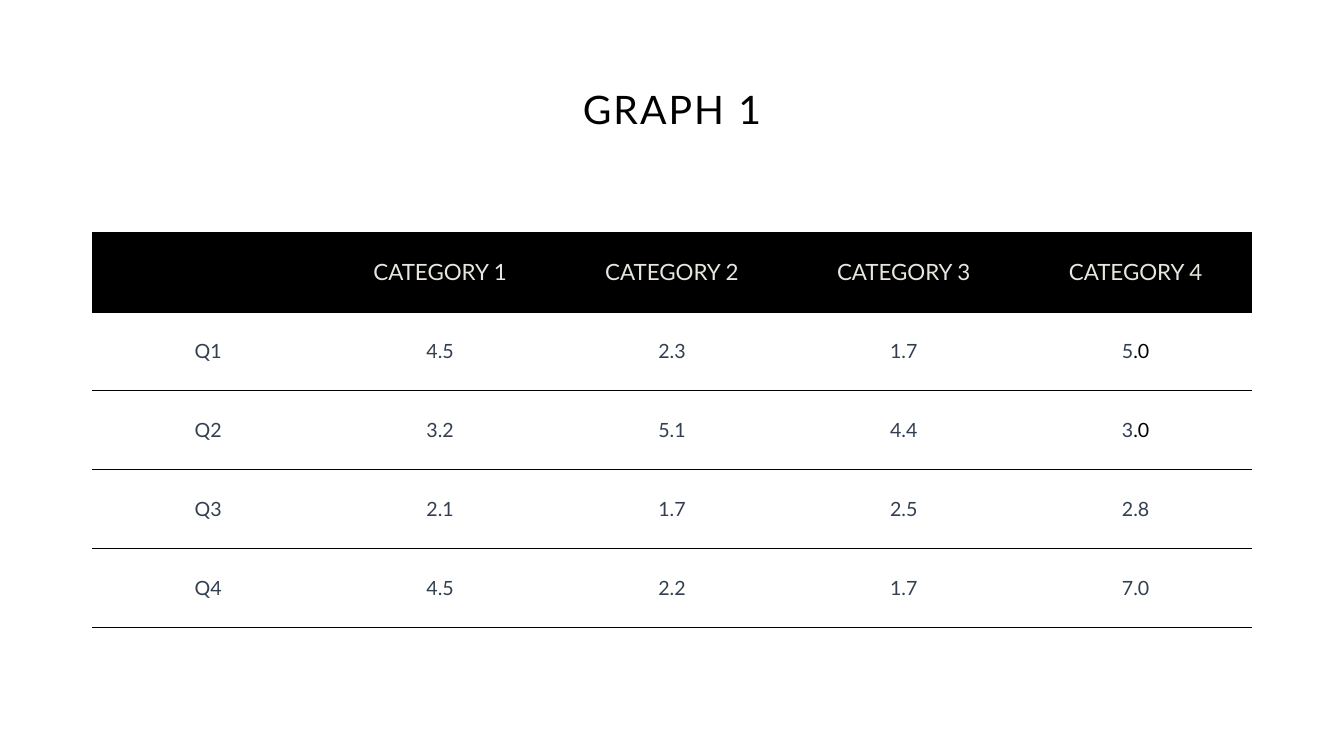
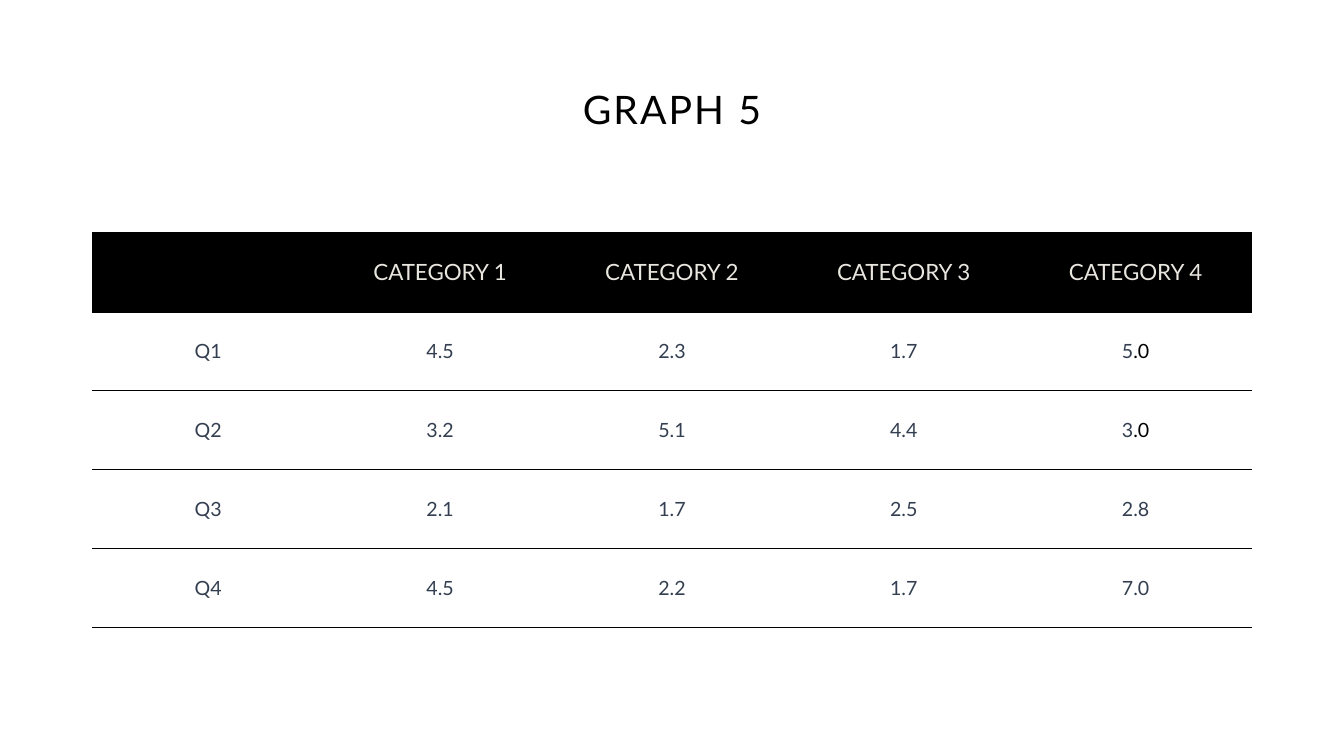
from lxml import etree
from pptx import Presentation
from pptx.dml.color import RGBColor
from pptx.enum.text import MSO_ANCHOR, MSO_AUTO_SIZE, PP_ALIGN
from pptx.oxml.ns import qn
from pptx.util import Pt

PX = 7620
MIDDLE = MSO_ANCHOR.MIDDLE
NO_AUTOFIT = MSO_AUTO_SIZE.NONE
CENTER = PP_ALIGN.CENTER

BLACK = RGBColor(0x00, 0x00, 0x00)
CREAM = RGBColor(0xE9, 0xE6, 0xDF)
SLATE = RGBColor(0x33, 0x3F, 0x50)

FONT = "Lato"
PLAIN_STYLE = "{2D5ABB26-0587-4C30-8999-92F81FD0307C}"
TITLE_ONLY = 5

LEFT, WIDTH = 110, 1380
TITLE_TOP, TITLE_HEIGHT = 46, 174
TABLE_TOP, ROW_HEIGHT = 277, 94
THIN_RULE, HEADER_RULE = Pt(0.5), Pt(1.5)

TITLES = ["GRAPH 1", "GRAPH 5"]
HEADINGS = ["", "CATEGORY 1", "CATEGORY 2", "CATEGORY 3", "CATEGORY 4"]
QUARTERS = [
    ["Q1", "4.5", "2.3", "1.7", ("5", ".0")],
    ["Q2", "3.2", "5.1", "4.4", ("3", ".0")],
    ["Q3", "2.1", "1.7", "2.5", "2.8"],
    ["Q4", "4.5", "2.2", "1.7", "7.0"],
]


class Deck:
    """Holds the presentation, its style and the current slide."""

    def __init__(self):
        self.presentation = Presentation()
        self.presentation.slide_width = 1600 * PX
        self.presentation.slide_height = 900 * PX
        self.slide = None

    def new_slide(self):
        """Start a slide that has only a title."""
        layout = self.presentation.slide_layouts[TITLE_ONLY]
        self.slide = self.presentation.slides.add_slide(layout)

    def add_run(self, paragraph, text, size, color):
        """Append one styled run and return it."""
        run = paragraph.add_run()
        run.text = text
        run.font.name = FONT
        run.font.size = Pt(size)
        run.font.color.rgb = color
        return run

    def title(self, text):
        """Place the centred, letter-spaced title."""
        heading = self.slide.shapes.title
        heading.left, heading.top = LEFT * PX, TITLE_TOP * PX
        heading.width, heading.height = WIDTH * PX, TITLE_HEIGHT * PX
        frame = heading.text_frame
        frame.word_wrap = True
        frame.auto_size = NO_AUTOFIT
        frame.vertical_anchor = MIDDLE
        paragraph = frame.paragraphs[0]
        paragraph.alignment = CENTER
        paragraph.line_spacing = 0.9
        run = self.add_run(paragraph, text, 28, BLACK)
        run.font._element.set("spc", "150")

    def rule(self, cell, side, weight):
        """Draw a black border on one side of a cell."""
        properties = cell._tc.get_or_add_tcPr()
        line = etree.SubElement(properties, qn(f"a:ln{side}"), w=str(int(weight)))
        fill = etree.SubElement(line, qn("a:solidFill"))
        etree.SubElement(fill, qn("a:srgbClr"), val=str(BLACK))

    def cell(self, cell, content, is_header):
        """Fill one cell; a second part of its content is set in black."""
        if is_header:
            self.rule(cell, "T", THIN_RULE)
        self.rule(cell, "B", HEADER_RULE if is_header else THIN_RULE)
        if is_header:
            cell.fill.solid()
            cell.fill.fore_color.rgb = BLACK
        else:
            cell.fill.background()
        cell.vertical_anchor = MIDDLE
        paragraph = cell.text_frame.paragraphs[0]
        paragraph.alignment = CENTER
        size, color = (16, CREAM) if is_header else (14, SLATE)
        parts = (content,) if isinstance(content, str) else content
        for text, part_color in zip(parts, (color, BLACK)):
            if text:
                self.add_run(paragraph, text, size, part_color)

    def table(self, rows):
        """Add a table of equal rows and columns with a black header."""
        frame = self.slide.shapes.add_table(
            len(rows), len(rows[0]), LEFT * PX, TABLE_TOP * PX,
            WIDTH * PX, len(rows) * ROW_HEIGHT * PX)
        table = frame.table
        table.first_row = table.horz_banding = False
        table._tbl.tblPr.find(qn("a:tableStyleId")).text = PLAIN_STYLE
        for row_index, contents in enumerate(rows):
            for column_index, content in enumerate(contents):
                self.cell(table.cell(row_index, column_index), content,
                          row_index == 0)

    def save(self):
        """Write the file."""
        self.presentation.save("out.pptx")


def main():
    """Build one table slide for each title."""
    deck = Deck()
    for title in TITLES:
        deck.new_slide()
        deck.title(title)
        deck.table([HEADINGS] + QUARTERS)
    deck.save()


if __name__ == "__main__":
    main()
